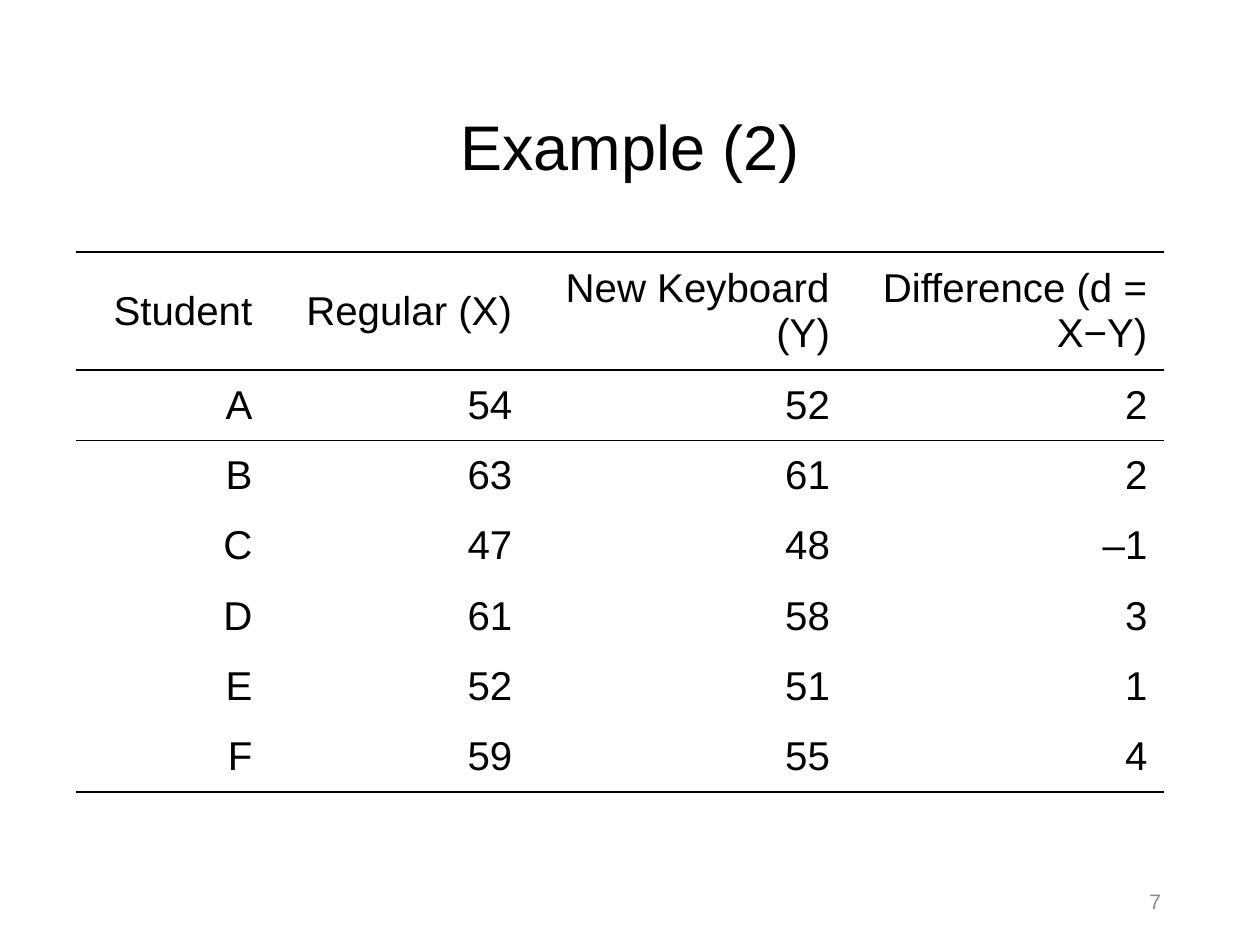
from dataclasses import dataclass

from lxml import etree
from pptx import Presentation
from pptx.dml.color import RGBColor
from pptx.enum import text
from pptx.oxml import ns
from pptx.util import Pt


@dataclass(frozen=True)
class Theme:
    font: str = "Arial"
    ink: str = "000000"
    muted: str = "8C8C8C"
    title_size: float = 36
    table_size: float = 23
    number_size: float = 12
    rule_width: float = 1


THEME = Theme()
PLAIN_TABLE_STYLE = "{2D5ABB26-0587-4C30-8999-92F81FD0307C}"
COLUMN_WIDTHS = (110, 148.5, 181.5, 181.5)
HEADER_HEIGHT = 67.5
SCORES = (
    ("Student", "Regular (X)", "New Keyboard (Y)", "Difference (d = X−Y)"),
    ("A", "54", "52", "2"),
    ("B", "63", "61", "2"),
    ("C", "47", "48", "–1"),
    ("D", "61", "58", "3"),
    ("E", "52", "51", "1"),
    ("F", "59", "55", "4"),
)


def style_paragraph(paragraph, size, color, align):
    paragraph.alignment = align
    paragraph.font.name = THEME.font
    paragraph.font.size = Pt(size)
    paragraph.font.color.rgb = RGBColor.from_string(color)


def add_rule(cell, side):
    """Draw a cell border; side is lnT (top) or lnB (bottom)."""
    line = etree.SubElement(cell._tc.get_or_add_tcPr(), ns.qn(f"a:{side}"),
                            w=str(Pt(THEME.rule_width)))
    fill = etree.SubElement(line, ns.qn("a:solidFill"))
    etree.SubElement(fill, ns.qn("a:srgbClr"), val=THEME.ink)


def place_title(slide, left, top, width, height):
    title = slide.shapes.title
    title.left, title.top = Pt(left), Pt(top)
    title.width, title.height = Pt(width), Pt(height)
    frame = title.text_frame
    frame.text = "Example (2)"
    frame.vertical_anchor = text.MSO_ANCHOR.MIDDLE
    heading = frame.paragraphs[0]
    heading.line_spacing = 0.9
    style_paragraph(heading, THEME.title_size, THEME.ink, text.PP_ALIGN.CENTER)


def place_scores(slide, left, top, width, height):
    table = slide.shapes.add_table(
        len(SCORES), len(COLUMN_WIDTHS),
        Pt(left), Pt(top), Pt(width), Pt(height)).table
    table.first_row = table.horz_banding = False
    table._tbl.tblPr.find(ns.qn("a:tableStyleId")).text = PLAIN_TABLE_STYLE

    for column, share in zip(table.columns, COLUMN_WIDTHS):
        column.width = Pt(width * share / sum(COLUMN_WIDTHS))
    last = len(SCORES) - 1
    for index, row in enumerate(table.rows):
        row.height = Pt((height - HEADER_HEIGHT) / last if index else HEADER_HEIGHT)
        for cell, value in zip(row.cells, SCORES[index]):
            cell.text = value
            cell.vertical_anchor = text.MSO_ANCHOR.MIDDLE
            cell.margin_left = cell.margin_right = Pt(9.2)
            cell.margin_top = cell.margin_bottom = Pt(4.6)
            style_paragraph(cell.text_frame.paragraphs[0], THEME.table_size,
                            THEME.ink, text.PP_ALIGN.RIGHT)
            if index <= 1:
                add_rule(cell, "lnT")
            if index in (0, last):
                add_rule(cell, "lnB")
            cell.fill.background()


def place_slide_number(slide, left, top, width, height):
    frame = slide.shapes.add_textbox(
        Pt(left), Pt(top), Pt(width), Pt(height)).text_frame
    frame.word_wrap = True
    frame.vertical_anchor = text.MSO_ANCHOR.MIDDLE
    frame.text = "7"
    number = frame.paragraphs[0]
    number.space_after = Pt(6)
    style_paragraph(number, THEME.number_size, THEME.muted, text.PP_ALIGN.RIGHT)


def main():
    deck = Presentation()
    deck.slide_width, deck.slide_height = Pt(720), Pt(540)
    slide = deck.slides.add_slide(deck.slide_layouts.get_by_name("Title Only"))
    place_title(slide, 49.5, 33.75, 621, 104.4)
    place_slide_number(slide, 508.5, 500.5, 162, 28.75)
    place_scores(slide, 43.5, 144, sum(COLUMN_WIDTHS), 308.7)
    deck.save("out.pptx")


if __name__ == "__main__":
    main()
